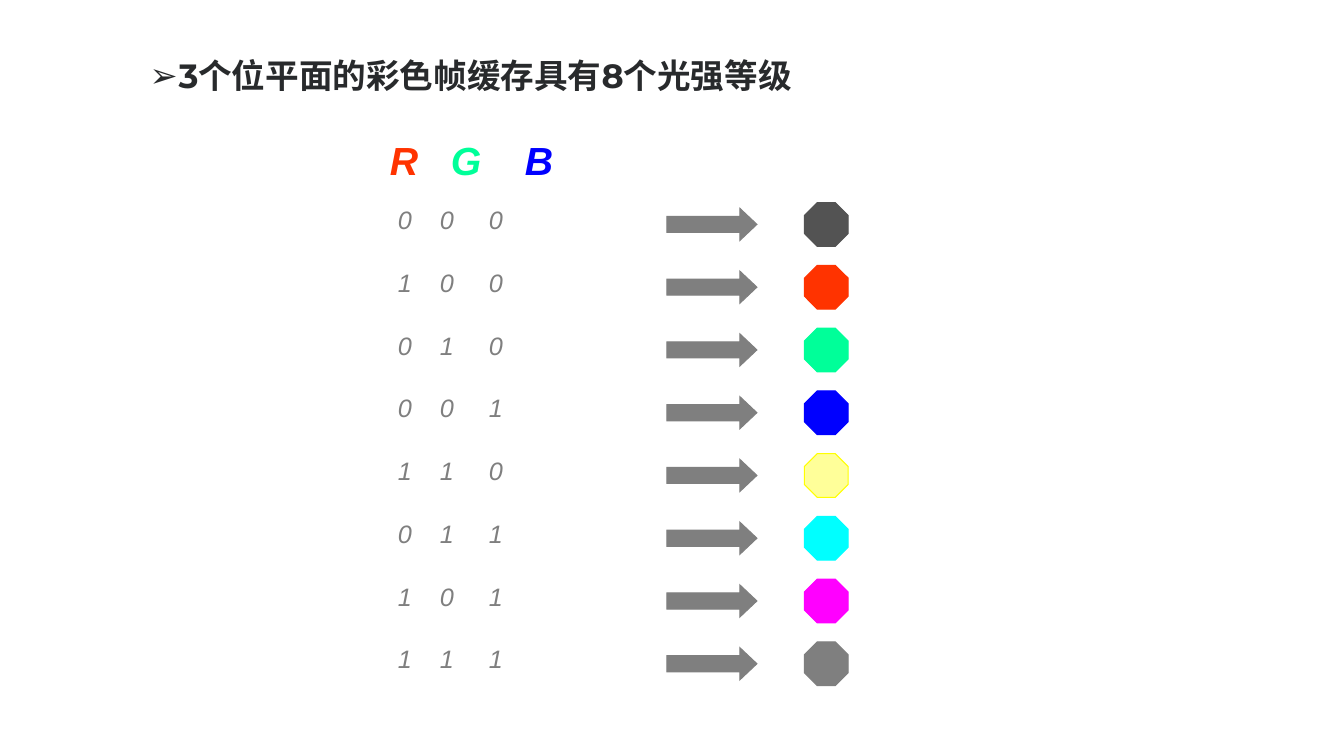
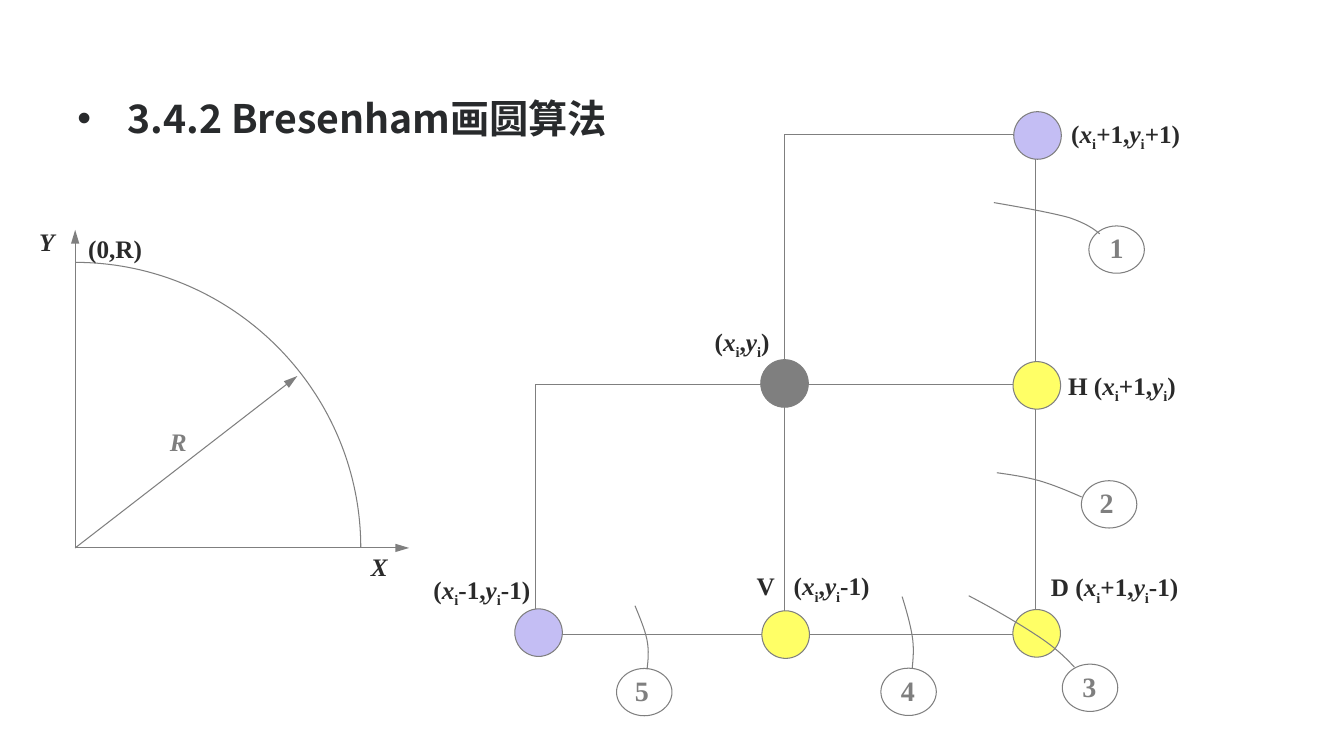
from dataclasses import dataclass
from typing import Optional

from lxml import etree
from pptx import Presentation
from pptx import util as u
from pptx.dml import color
from pptx.enum import shapes
from pptx.oxml import ns

Pt = u.Pt
COLORS = {
    "title": "282A2C", "label": "2A2A2A", "gray": "7F7F7F", "dark": "535353",
    "red": "FF3300", "green": "00FF99", "blue": "0000FF", "yellow": "FFFF00",
    "pale": "FFFF99", "cyan": "00FFFF", "magenta": "FF00FF",
    "lilac": "C4BEF4", "candidate": "FFFF66",
}
SERIF = "Times New Roman"
Point = tuple[float, float]


@dataclass(frozen=True)
class Style:
    font: str
    size: float
    color: str
    bold: bool = True
    italic: bool = False


@dataclass(frozen=True)
class Span:
    text: str
    style: Style
    subscript: bool = False


@dataclass(frozen=True)
class ColorRow:
    bits: str
    fill: str
    line: str


@dataclass(frozen=True)
class Node:
    left: float
    top: float
    fill: str


@dataclass(frozen=True)
class PixelLabel:
    left: float
    top: float
    width: float
    prefix: str
    dx: str
    dy: str


@dataclass(frozen=True)
class Callout:
    number: str
    left: float
    top: float
    indent: float  # from the oval's left edge to the number's box
    leader: tuple[Point, ...]  # start, then three points for each Bezier piece


LABEL = Style(SERIF, 18, "label")
VARIABLE = Style(SERIF, 18, "label", italic=True)
RADIUS = Style(SERIF, 18, "gray", italic=True)
NUMBER = Style(SERIF, 20, "gray")
BITS = Style("Arial", 18, "gray", bold=False, italic=True)

ROWS = (
    ColorRow("000", "dark", "dark"), ColorRow("100", "red", "red"),
    ColorRow("010", "green", "green"), ColorRow("001", "blue", "blue"),
    ColorRow("110", "pale", "yellow"), ColorRow("011", "cyan", "cyan"),
    ColorRow("101", "magenta", "magenta"), ColorRow("111", "gray", "gray"),
)
ROW_PITCH = 44.83

NODES = (
    Node(367.7, 434.9, "lilac"), Node(543.4, 256.9, "gray"),
    Node(724.1, 79.8, "lilac"), Node(544.2, 436.3, "candidate"),
    Node(723.6, 258.3, "candidate"), Node(723.5, 435.4, "candidate"),
)
PIXEL_LABELS = (
    PixelLabel(755.8, 260.8, 159, "H (", "+1,", ")"),
    PixelLabel(743.6, 404.7, 144, "D (", "+1,", "-1)"),
    PixelLabel(533.3, 404.1, 159, "V\t(", ",", "-1)"),
    PixelLabel(302.5, 406.8, 114, "(", "-1,", "-1)"),
    PixelLabel(503.4, 229.7, 114, "(", ",", ")"),
    PixelLabel(758.1, 80.8, 151, "(", "+1,", "+1)"),
)
CALLOUTS = (
    Callout("1", 777.8, 161.4, 7.7, (
        (709.9, 144.7), (730.8, 148.3), (751, 151.9), (763.9, 155.5),
        (776.2, 159.8), (781.2, 163.4), (785.5, 167))),
    Callout("2", 772.4, 343.4, 6, (
        (712.1, 337.7), (722.2, 339.1), (732.2, 340.6), (742.3, 343.4),
        (752.4, 346.3), (762.5, 350.6), (772.6, 355))),
    Callout("3", 758.8, 474.4, 7.2, (
        (691.9, 425.5), (709.9, 434.9), (727.2, 445), (740.2, 453.6),
        (752.4, 461.5), (760.3, 468.7), (767.5, 476.6))),
    Callout("4", 629.2, 477.3, 7.2, (
        (644.4, 426.2), (647.3, 435.6), (650.2, 445.7), (651.6, 454.3),
        (653, 463), (652.3, 470.2), (651.6, 477.4))),
    Callout("5", 440.4, 477.5, 6, (
        (453.6, 432.7), (457.2, 441.4), (460.8, 450), (462.2, 457.2),
        (463.7, 465.1), (463, 471.6), (462.2, 478.1))),
)


# Shared drawing tools

def rgb(name: str) -> color.RGBColor:
    return color.RGBColor.from_string(COLORS[name])


def add_spans(para, spans: list[Span]) -> None:
    for item in spans:
        span = para.add_run()
        span.text = item.text
        font = span.font
        font.name, font.size = item.style.font, Pt(item.style.size)
        font.bold, font.italic = item.style.bold, item.style.italic
        font.color.rgb = rgb(item.style.color)
        props = span._r.get_or_add_rPr()
        etree.SubElement(props, ns.qn("a:ea"), typeface=item.style.font)
        if item.subscript:
            props.set("baseline", "-25000")


def add_text(page, left: float, top: float, width: float, height: float,
             spans: list[Span], tabs: tuple[float, ...] = ()):
    box = page.shapes.add_textbox(Pt(left), Pt(top), Pt(width), Pt(height))
    box.text_frame.word_wrap = True
    para = box.text_frame.paragraphs[0]
    add_spans(para, spans)
    if tabs:
        stops = etree.SubElement(para._p.get_or_add_pPr(), ns.qn("a:tabLst"))
        for stop in tabs:
            etree.SubElement(stops, ns.qn("a:tab"), pos=str(Pt(stop)), algn="l")
    return box


def add_title(page, left: float, top: float, width: float, height: float,
              words: str, style: Style, bullet: str, margin: float, hang: float):
    """Bulleted heading with a hanging indent."""
    box = add_text(page, left, top, width, height, [Span(words, style)])
    props = box.text_frame.paragraphs[0]._p.get_or_add_pPr()
    props.set("marL", str(Pt(margin)))
    props.set("indent", str(-Pt(hang)))
    etree.SubElement(props, ns.qn("a:buFont"), typeface="Arial")
    etree.SubElement(props, ns.qn("a:buChar"), char=bullet)
    return box


def style_shape(shape, fill: Optional[str], line: str) -> None:
    shape.shadow.inherit = False
    if fill:
        shape.fill.solid()
        shape.fill.fore_color.rgb = rgb(fill)
    else:
        shape.fill.background()
    shape.line.color.rgb = rgb(line)
    shape.line.width = Pt(0.75)
    etree.SubElement(shape.line._get_or_add_ln(), ns.qn("a:miter"), lim="800000")


def add_preset(page, kind, left: float, top: float, width: float, height: float,
               fill: Optional[str], line: str = "gray"):
    shape = page.shapes.add_shape(kind, Pt(left), Pt(top), Pt(width), Pt(height))
    style_shape(shape, fill, line)
    return shape


def add_line(page, start: Point, end: Point, arrow: bool = False) -> None:
    line = page.shapes.add_connector(
        shapes.MSO_CONNECTOR.STRAIGHT, *map(Pt, start), *map(Pt, end))
    line.line.color.rgb = rgb("gray")
    line.line.width = Pt(0.75)
    if arrow:
        etree.SubElement(line.line._get_or_add_ln(), ns.qn("a:tailEnd"),
                         type="triangle", w="med", len="lg")
    etree.SubElement(line.element.spPr, ns.qn("a:effectLst"))


def add_curve(page, controls: tuple[Point, ...]) -> None:
    """Open Bezier curve: every three points after the first make one piece."""
    first, *rest = [(Pt(x), Pt(y)) for x, y in controls]
    builder = page.shapes.build_freeform(*first)
    builder.add_line_segments(rest, close=False)
    shape = builder.convert_to_shape()
    style_shape(shape, None, "gray")
    segments = list(shape.element.iter(ns.qn("a:lnTo")))
    outline = segments[0].getparent()
    for start in range(0, len(segments), 3):
        piece = etree.SubElement(outline, ns.qn("a:cubicBezTo"))
        for segment in segments[start:start + 3]:
            piece.append(segment[0])
            outline.remove(segment)


# Slide 1: eight colours from three bit planes

def build_color_page(page) -> None:
    heads = [Span(word, Style("Arial", 28, name, italic=True))
             for word, name in (("R\t", "red"), ("G\t", "green"), ("B", "blue"))]
    add_text(page, 271.4, 93.9, 389.5, 41, heads, (43.6, 96.5))

    for index, row in enumerate(ROWS):
        shift = index * ROW_PITCH
        arrow = add_preset(page, shapes.MSO_SHAPE.RIGHT_ARROW,
                           476.4, 148.8 + shift, 64.3, 23, "gray")
        arrow.adjustments[1] = 0.53
        add_text(page, 277.2, 142.4 + shift, 244.8, 28.8,
                 [Span("\t".join(row.bits), BITS)], (30, 65))
        add_preset(page, shapes.MSO_SHAPE.OCTAGON, 574.6, 144.7 + shift,
                   31.2, 31.2, row.fill, row.line)

    title = add_title(page, 50.2, 38.9, 524.2, 33.1,
                      "3个位平面的彩色帧缓存具有8个光强等级",
                      Style("Montserrat", 24, "title"), "➢", 70.2, 20.7)
    title.text_frame.paragraphs[0].line_spacing = 0.9


# Slide 2: Bresenham circle algorithm

def pixel_spans(label: PixelLabel) -> list[Span]:
    index = Span("i", LABEL, subscript=True)
    return [Span(label.prefix, LABEL), Span("x", VARIABLE), index,
            Span(label.dx, LABEL), Span("y", VARIABLE), index, Span(label.dy, LABEL)]


def draw_quarter_circle(page) -> None:
    origin_x, origin_y, radius = 53.7, 391.4, 204
    handle = radius * 0.55
    for end in ((292.3, origin_y), (origin_x, 164.2), (212.4, 268.6)):
        add_line(page, (origin_x, origin_y), end, arrow=True)
    top, right = origin_y - radius, origin_x + radius
    add_curve(page, ((origin_x, top), (origin_x + handle, top),
                     (right, origin_y - handle), (right, origin_y)))
    for left, top, width, word, style in (
            (257.8, 390.2, 60.5, "X", VARIABLE), (20.9, 158.4, 60.5, "Y", VARIABLE),
            (55.9, 163.4, 58.3, "(0,R)", LABEL), (114.3, 301, 105.8, "R", RADIUS)):
        add_text(page, left, top, width, 28.8, [Span(word, style)])


def draw_pixel_grid(page) -> None:
    cell = 178.3
    left, middle, right = 382.2, 560.2, 739.4
    top, center, bottom = (96.4 + cell * k for k in range(3))
    for start, end in (
            ((middle, top), (right, top)), ((left, center), (right, center)),
            ((left, bottom), (right, bottom)), ((left, center), (left, bottom)),
            ((middle, top), (middle, bottom)), ((right, top), (right, bottom))):
        add_line(page, start, end)
    for node in NODES:
        add_preset(page, shapes.MSO_SHAPE.OVAL, node.left, node.top, 34, 34, node.fill)
    for label in PIXEL_LABELS:
        tabs = (26.5,) if "\t" in label.prefix else ()
        add_text(page, label.left, label.top, label.width, 28.8,
                 pixel_spans(label), tabs)


def draw_callout(page, callout: Callout) -> None:
    add_curve(page, callout.leader)
    add_text(page, callout.left + callout.indent, callout.top, 31.7, 31,
             [Span(callout.number, NUMBER)])
    add_preset(page, shapes.MSO_SHAPE.OVAL, callout.left, callout.top,
               39.6, 33.8, None)


def build_circle_page(page) -> None:
    title = add_title(page, 48.2, 60.5, 864, 401.8, "3.4.2 Bresenham画圆算法",
                      Style("Noto Sans CJK SC", 28, "title"), "•", 36, 36)
    title.text_frame.margin_top = Pt(7.2)
    draw_quarter_circle(page)
    draw_pixel_grid(page)
    for callout in CALLOUTS:
        draw_callout(page, callout)


def main() -> None:
    deck = Presentation()
    deck.slide_width, deck.slide_height = Pt(960), Pt(540)
    blank = deck.slide_layouts[6]
    for build in (build_color_page, build_circle_page):
        build(deck.slides.add_slide(blank))
    deck.save("out.pptx")


if __name__ == "__main__":
    main()
